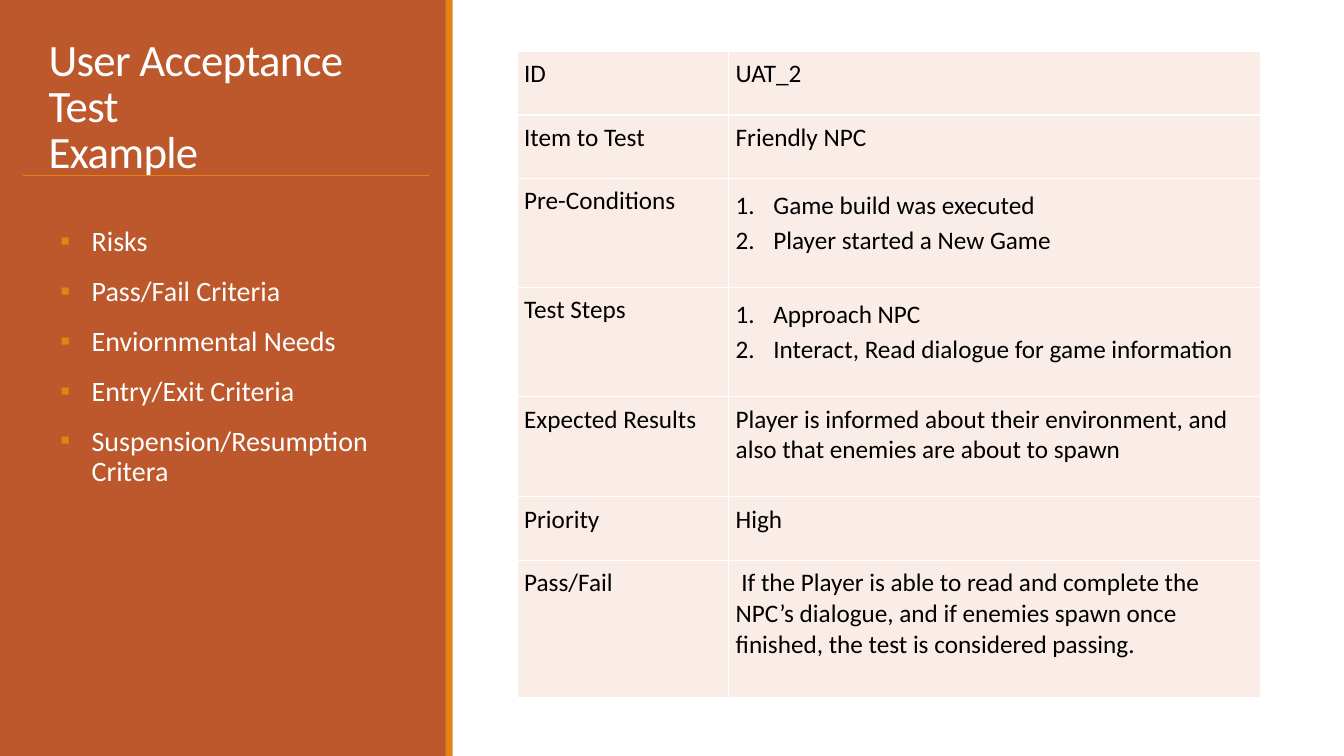
from copy import deepcopy

from lxml.etree import SubElement
from pptx import Presentation
from pptx.dml.color import RGBColor
from pptx.enum.shapes import MSO_CONNECTOR, MSO_SHAPE
from pptx.enum.text import MSO_ANCHOR, MSO_AUTO_SIZE, PP_ALIGN
from pptx.oxml import parse_xml
from pptx.oxml.ns import nsdecls, qn
from pptx.util import Cm, Pt

RUST = RGBColor(0xBD, 0x58, 0x2C)
ORANGE = RGBColor(0xE4, 0x83, 0x12)
BLUSH = RGBColor(0xFA, 0xED, 0xE7)
WHITE = RGBColor(0xFF, 0xFF, 0xFF)
BLACK = RGBColor(0x00, 0x00, 0x00)
FONT = "Calibri"

TOPICS = [
    "Risks",
    "Pass/Fail Criteria",
    "Enviornmental Needs",
    "Entry/Exit Criteria",
    "Suspension/Resumption Critera",
]
# Label, content (a list is numbered), row height in centimetres
TEST_ROWS = [
    ("ID", "UAT_2", 1.6),
    ("Item to Test", "Friendly NPC", 1.6),
    ("Pre-Conditions", ["Game build was executed", "Player started a New Game"], 2.75),
    ("Test Steps", ["Approach NPC", "Interact, Read dialogue for game information"], 2.75),
    ("Expected Results", "Player is informed about their environment, and "
     "also that enemies are about to spawn", 2.52),
    ("Priority", "High", 1.6),
    ("Pass/Fail", " If the Player is able to read and complete the NPC’s dialogue, "
     "and if enemies spawn once finished, the test is considered passing.", 3.45),
]


def format_spans(para, size, color):
    for span in para.runs:
        span.font.name = FONT
        span.font.size = Pt(size)
        span.font.color.rgb = color


def set_indent(para, indent):
    """Hang the first line by the indent and return the paragraph properties."""
    properties = para._p.get_or_add_pPr()
    properties.set("marL", str(indent))
    properties.set("indent", str(-indent))
    return properties


def add_panel(slide, left, width, color):
    """Add a full-height band behind the title."""
    panel = slide.shapes.add_shape(MSO_SHAPE.RECTANGLE, Cm(left), Cm(0), Cm(width), Cm(19.05))
    panel.shadow.inherit = False
    panel.fill.solid()
    panel.fill.fore_color.rgb = color
    panel.line.fill.background()
    slide.shapes.title.element.addprevious(panel.element)


def format_title(title):
    title.left, title.top, title.width, title.height = Cm(0.97), Cm(1.63), Cm(9.86), Cm(2.97)
    frame = title.text_frame
    frame.text = "User Acceptance Test\vExample"
    frame.auto_size = MSO_AUTO_SIZE.NONE
    frame.word_wrap = True
    frame.vertical_anchor = MSO_ANCHOR.BOTTOM
    frame.margin_right = Cm(0.5)
    para = frame.paragraphs[0]
    para.alignment = PP_ALIGN.LEFT
    para.line_spacing = 0.85
    format_spans(para, 32, WHITE)
    for span in para.runs:
        span.font._element.set("spc", "-50")
    for line_break in para._p.findall(qn("a:br")):
        line_break.insert(0, deepcopy(para.runs[0].font._element))


def add_topics(slide):
    box = slide.shapes.add_textbox(Cm(1.27), Cm(5.61), Cm(8.89), Cm(11.91))
    frame = box.text_frame
    frame.word_wrap = True
    frame.text = "\n".join(TOPICS)
    for para in frame.paragraphs:
        para.line_spacing = 0.9
        para.space_before = Pt(12)
        para.space_after = Pt(2)
        format_spans(para, 20, WHITE)
        properties = set_indent(para, Cm(0.79))
        bullet_color = SubElement(properties, qn("a:buClr"))
        SubElement(bullet_color, qn("a:srgbClr")).set("val", str(ORANGE))
        SubElement(properties, qn("a:buFont")).set("typeface", FONT)
        SubElement(properties, qn("a:buChar")).set("char", "▪")


def add_rule(slide):
    rule = slide.shapes.add_connector(
        MSO_CONNECTOR.STRAIGHT, Cm(0.58), Cm(4.42), Cm(10.82), Cm(4.42))
    rule.line.color.rgb = ORANGE
    rule.line.width = Pt(1)
    SubElement(rule.element.spPr, qn("a:effectLst"))


def add_borders(cell):
    properties = cell._tc.get_or_add_tcPr()
    for position, side in enumerate(("lnL", "lnR", "lnT", "lnB")):
        properties.insert(position, parse_xml(
            f'<a:{side} {nsdecls("a")} w="{Pt(1)}"><a:solidFill>'
            f'<a:srgbClr val="{WHITE}"/></a:solidFill></a:{side}>'))


def fill_cell(cell, content):
    numbered = isinstance(content, list)
    cell.text_frame.text = "\n".join(content) if numbered else content
    cell.margin_left = cell.margin_right = cell.margin_top = cell.margin_bottom = Cm(0.18)
    cell.fill.solid()
    cell.fill.fore_color.rgb = BLUSH
    add_borders(cell)
    for para in cell.text_frame.paragraphs:
        format_spans(para, 18, BLACK)
        if numbered:
            para.line_spacing = 1.15
            properties = set_indent(para, Cm(0.95))
            SubElement(properties, qn("a:buFont")).set("typeface", "+mj-lt")
            SubElement(properties, qn("a:buAutoNum")).set("type", "arabicPeriod")
        else:
            para.space_before = Pt(6)


def add_test_table(slide):
    table = slide.shapes.add_table(
        len(TEST_ROWS), 2, Cm(13.03), Cm(1.3), Cm(18.74), Cm(16.27)).table
    table.first_row = False
    table.horz_banding = False
    table.columns[0].width = Cm(5.33)
    table.columns[1].width = Cm(13.41)
    for row, (label, content, height) in zip(table.rows, TEST_ROWS):
        row.height = Cm(height)
        fill_cell(row.cells[0], label)
        fill_cell(row.cells[1], content)


def main():
    deck = Presentation()
    deck.slide_width, deck.slide_height = Cm(33.87), Cm(19.05)
    slide = deck.slides.add_slide(deck.slide_layouts[5])
    add_panel(slide, 0, 11.25, RUST)
    add_panel(slide, 11.23, 0.18, ORANGE)
    format_title(slide.shapes.title)
    add_topics(slide)
    add_rule(slide)
    add_test_table(slide)
    deck.save("out.pptx")


if __name__ == "__main__":
    main()
